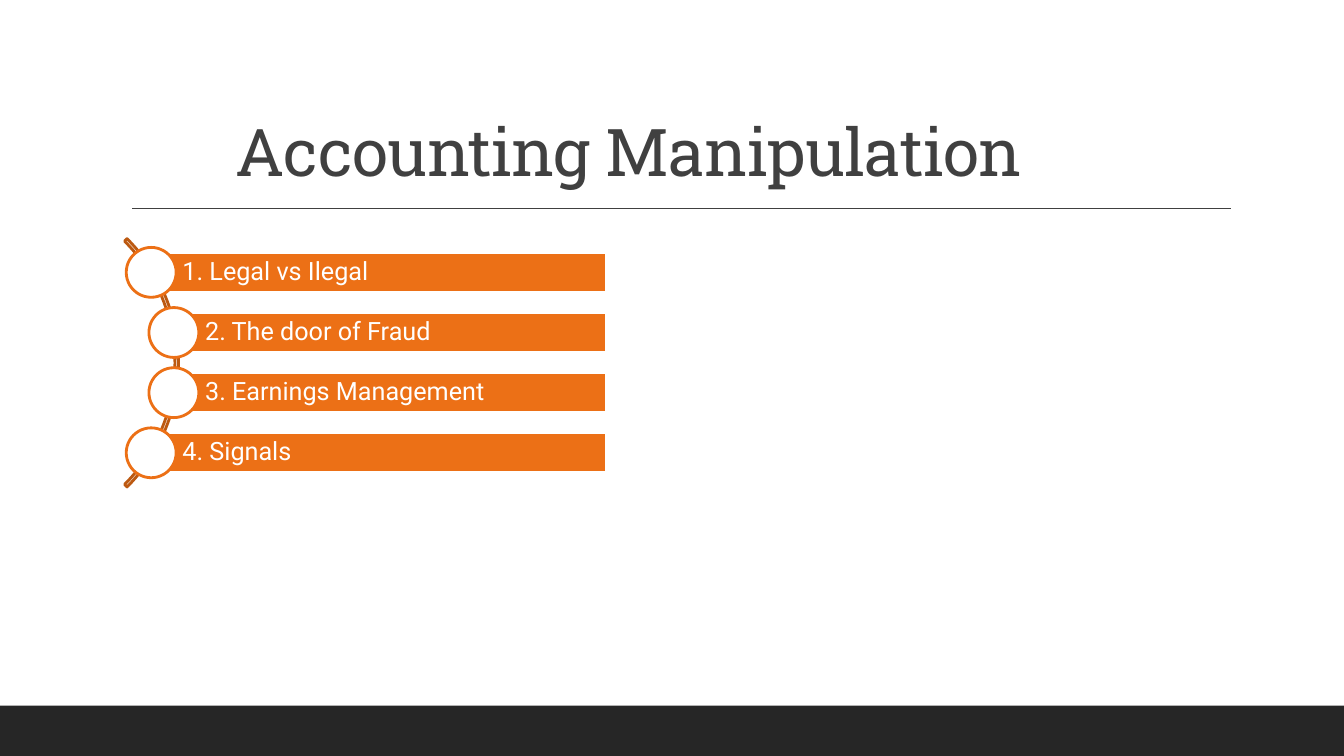
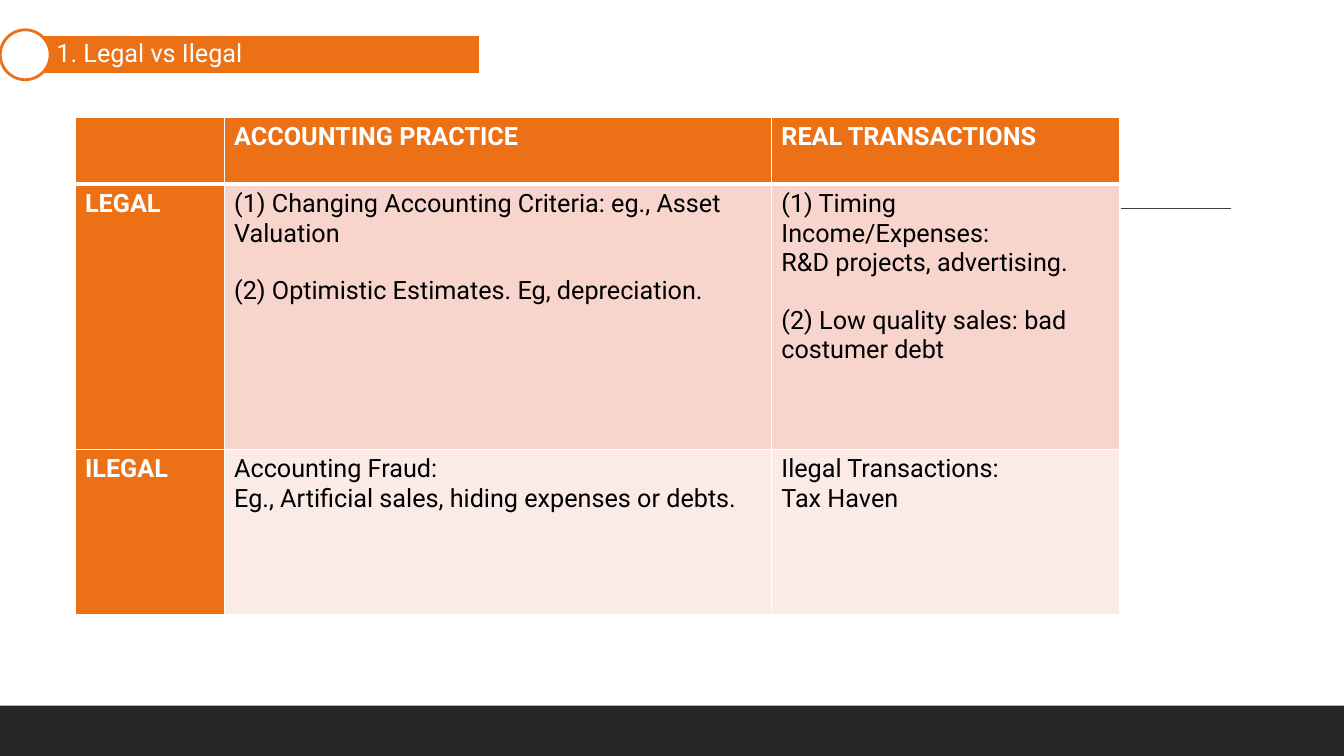
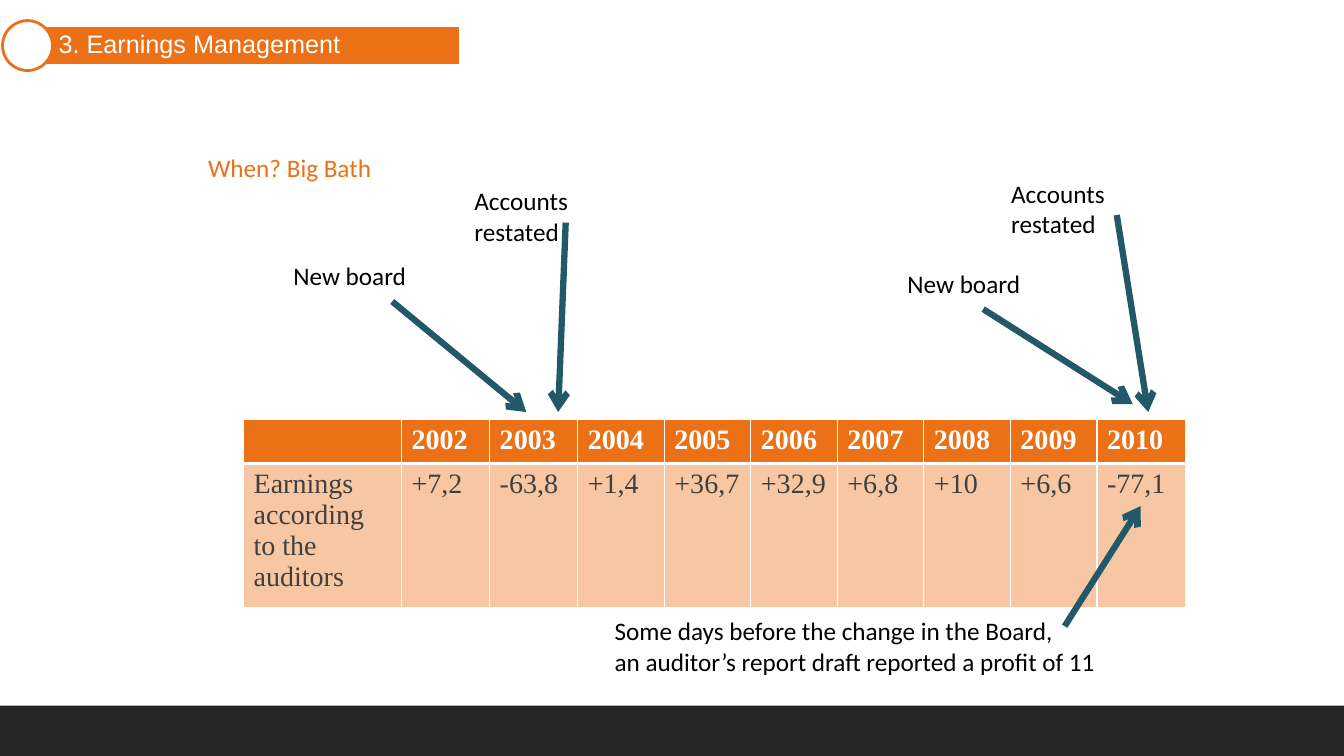
"""Builds a three-slide deck about accounting manipulation."""
from lxml.etree import SubElement
from pptx import Presentation
from pptx.dml.color import RGBColor
from pptx.enum.shapes import MSO_CONNECTOR, MSO_SHAPE
from pptx.enum.text import MSO_ANCHOR, PP_ALIGN
from pptx.oxml.ns import qn
from pptx.util import Emu, Inches, Pt

COLUMNS, ROWS = 160, 90
UNIT = Inches(1) // 12
COLORS = {
    "white": "FFFFFF", "black": "000000", "orange": "EC7016", "brown": "BC5911",
    "gray": "404040", "band": "262626", "teal": "215968",
    "rose": "F7D4CC", "blush": "FBEBE7", "peach": "F7C6A2",
}
TIGHT = {"line_spacing": 0.9}
BAR_PARAGRAPH = {"line_spacing": 0.9, "space_after": Pt(6.3)}
STYLES = {
    "title": {"font": {"name": "Roboto Slab", "size": Pt(47)}, "color": "gray", "paragraph": TIGHT},
    "bar": {"font": {"name": "Roboto", "size": Pt(18)}, "color": "white", "paragraph": BAR_PARAGRAPH},
    "bar plain": {"font": {"name": "Arial", "size": Pt(18)}, "color": "white", "paragraph": BAR_PARAGRAPH},
    "head": {"font": {"name": "Roboto", "size": Pt(18), "bold": True}, "color": "white"},
    "body": {"font": {"name": "Roboto", "size": Pt(18), "bold": False}, "color": "black"},
    "year": {"font": {"name": "Times New Roman", "size": Pt(20), "bold": True}, "color": "white"},
    "figure": {"font": {"name": "Times New Roman", "size": Pt(20), "bold": False}, "color": "gray"},
    "label": {"font": {"name": "Calibri", "size": Pt(18)}, "color": "black"},
    "lead": {"font": {"name": "Calibri", "size": Pt(18)}, "color": "orange"},
}
BAR_FRAME = {"margin_left": Inches(0.31), "margin_right": Inches(0.05),
             "vertical_anchor": MSO_ANCHOR.MIDDLE, "word_wrap": True}
TITLE_FRAME = {"margin_left": 0, "margin_right": 0, "margin_top": 0, "margin_bottom": 0,
               "vertical_anchor": MSO_ANCHOR.BOTTOM}
BAR_HEIGHT, BULLET_SIZE = 4.75, 5.94
GROUP_GAP = Pt(20)


def units(*lengths):
    """Turn grid units into slide lengths."""
    return [Emu(round(length * UNIT)) for length in lengths]


def rgb(name):
    """Look up a colour by its name."""
    return RGBColor.from_string(COLORS[name])


def assign(target, values):
    """Set each named attribute on the target."""
    for name, value in values.items():
        setattr(target, name, value)


class Deck:
    """Holds the presentation, its style and the current slide."""

    def __init__(self):
        """Open an empty deck on the grid."""
        self.deck = Presentation()
        self.deck.slide_width, self.deck.slide_height = units(COLUMNS, ROWS)
        self.page = None

    def start(self, ruled=True):
        """Add a page with its footer band and title rule."""
        self.page = self.deck.slides.add_slide(self.deck.slide_layouts[6])
        if ruled:
            self.line((15.75, 24.88), (146.5, 24.88), "gray", 0.75)
        self.shape(MSO_SHAPE.RECTANGLE, (0, 84, COLUMNS, 6), "band")

    def set_text(self, frame, text, style):
        """Set lines of text, with a gap before each later group."""
        look = STYLES[style]
        para = None
        for group in text.split("\n\n"):
            for position, words in enumerate(group.split("\n")):
                gap = para is not None and position == 0
                para = frame.paragraphs[0] if para is None else frame.add_paragraph()
                para.alignment = PP_ALIGN.LEFT
                assign(para, look.get("paragraph", {}))
                if gap:
                    para.space_before = GROUP_GAP
                span = para.add_run()
                span.text = words
                assign(span.font, look["font"])
                span.font.color.rgb = rgb(look["color"])

    def shape(self, kind, area, fill=None, outline=None, width=2):
        """Draw a preset shape."""
        box = self.page.shapes.add_shape(kind, *units(*area))
        box.shadow.inherit = False
        for part, color in ((box.fill, fill), (box.line.fill, outline)):
            if color:
                part.solid()
                part.fore_color.rgb = rgb(color)
            else:
                part.background()
        if outline:
            box.line.width = Pt(width)
        return box

    def line(self, start, end, color, width, arrow=False):
        """Draw a straight line, with an arrowhead at its end if asked."""
        link = self.page.shapes.add_connector(MSO_CONNECTOR.STRAIGHT, *units(*start, *end))
        link.line.color.rgb = rgb(color)
        link.line.width = Pt(width)
        properties = link._element.spPr
        if arrow:
            SubElement(properties.find(qn("a:ln")), qn("a:tailEnd"), type="arrow")
        SubElement(properties, qn("a:effectLst"))

    def text(self, area, text, style, wrap=True, frame=None):
        """Place a text box."""
        box = self.page.shapes.add_textbox(*units(*area))
        box.text_frame.word_wrap = wrap
        assign(box.text_frame, frame or {})
        self.set_text(box.text_frame, text, style)
        return box

    def title(self, text):
        """Place the slightly condensed page title."""
        box = self.text((28, 3.7, 132, 19), text, "title", frame=TITLE_FRAME)
        for span in box.text_frame.paragraphs[0].runs:
            span._r.get_or_add_rPr().set("spc", "-50")

    def topic(self, left, top, width, text, style="bar"):
        """Draw a topic bar with a round bullet on its left edge."""
        bar = self.shape(MSO_SHAPE.RECTANGLE, (left, top, width, BAR_HEIGHT), "orange", "white")
        assign(bar.text_frame, BAR_FRAME)
        self.set_text(bar.text_frame, text, style)
        bullet = (left - BULLET_SIZE / 2, top + (BAR_HEIGHT - BULLET_SIZE) / 2, BULLET_SIZE, BULLET_SIZE)
        self.shape(MSO_SHAPE.OVAL, bullet, "white", "orange")

    def border(self, cell, row):
        """Give a cell white borders, thick below the header row."""
        thick = {0: "a:lnB", 1: "a:lnT"}.get(row)
        properties = cell._tc.get_or_add_tcPr()
        for side in ("a:lnL", "a:lnR", "a:lnT", "a:lnB"):
            width = Pt(3 if side == thick else 0.96)
            edge = SubElement(properties, qn(side), w=str(width))
            SubElement(SubElement(edge, qn("a:solidFill")), qn("a:srgbClr"), val=COLORS["white"])

    def table(self, corner, widths, heights, rows, look):
        """Build a table; look gives the fill and style of a cell."""
        area = units(*corner, sum(widths), sum(heights))
        table = self.page.shapes.add_table(len(rows), len(widths), *area).table
        table.horz_banding = False
        for column, width in zip(table.columns, units(*widths)):
            column.width = width
        for line, height in zip(table.rows, units(*heights)):
            line.height = height
        for row, texts in enumerate(rows):
            for column, text in enumerate(texts):
                cell = table.cell(row, column)
                fill, style = look(row, column)
                self.border(cell, row)
                cell.fill.solid()
                cell.fill.fore_color.rgb = rgb(fill)
                self.set_text(cell.text_frame, text, style)


def agenda(deck):
    """Build the opening page with its curved list of topics."""
    deck.start()
    deck.title("Accounting Manipulation")
    arc = deck.shape(MSO_SHAPE.BLOCK_ARC, (-20.55, 22.3, 41.8, 41.8), outline="brown")
    for index, value in enumerate((189, 27, 0.01)):
        arc.adjustments[index] = value
    topics = ("1. Legal vs Ilegal", "2. The door of Fraud", "3. Earnings Management", "4. Signals")
    for index, (left, text) in enumerate(zip((18, 20.7, 20.7, 18), topics)):
        deck.topic(left, 30.05 + 7.16 * index, 72.24 - left, text)


def legality(deck):
    """Build the page that sets legal against illegal practice."""
    deck.start()
    deck.topic(3, 4.15, 54.24, "1. Legal vs Ilegal")
    rows = (
        ("", "ACCOUNTING PRACTICE", "REAL TRANSACTIONS"),
        ("LEGAL",
         "(1) Changing Accounting Criteria: eg., Asset Valuation\n\n"
         "(2) Optimistic Estimates. Eg, depreciation.",
         "(1) Timing Income/Expenses:\nR&D projects, advertising.\n\n"
         "(2) Low quality sales: bad costumer debt"),
        ("ILEGAL",
         "Accounting Fraud:\nEg., Artificial sales, hiding expenses or debts.",
         "Ilegal Transactions:\nTax Haven"),
    )

    def look(row, column):
        """Mark the first row and column as headers."""
        if row == 0 or column == 0:
            return "orange", "head"
        return ("rose", "blush")[row - 1], "body"

    deck.table((8.93, 14), (17.75, 65.15, 41.5), (7.95, 31.55, 19.65), rows, look)


def earnings(deck):
    """Build the page on big bath earnings, with arrows to the years."""
    deck.start(ruled=False)
    deck.topic(3.27, 3.05, 51.6, "3. Earnings Management", "bar plain")
    deck.text((23.6, 17.5, 127.2, 4.85), "When? Big Bath", "lead")
    rows = (
        ("", *map(str, range(2002, 2011))),
        ("Earnings according to the auditors",
         "+7,2", "-63,8", "+1,4", "+36,7", "+32,9", "+6,8", "+10", "+6,6", "-77,1"),
    )
    widths = (18.8, 10.5, 10.5, *[10.3] * 6, 10.6)
    deck.table((29, 49.97), widths, (5.2, 17.2), rows,
               lambda row, column: (("orange", "year"), ("peach", "figure"))[row])
    labels = (
        (33.75, 30.4, 15.9, "New board"), (55.3, 21.5, 24.2, "Accounts restated"),
        (106.85, 31.4, 15.9, "New board"), (119.2, 20.6, 24.2, "Accounts restated"),
    )
    for left, top, width, text in labels:
        deck.text((left, top, width, 4.85), text, "label", wrap=False)
    deck.text((72, 72.7, 62.9, 8.4),
              "Some days before the change in the Board,\n"
              "an auditor’s report draft reported a profit of 11", "label")
    arrows = (
        ((46.7, 35.9), (62.65, 49.05)), ((67.35, 26.5), (66.45, 49.05)),
        ((117.05, 36.8), (134.85, 48.1)), ((132.95, 25.6), (136.7, 49.05)),
        ((126.75, 74.55), (135.8, 60.25)),
    )
    for start, end in arrows:
        deck.line(start, end, "teal", 4.5, arrow=True)


def main():
    """Build the pages and save the deck."""
    deck = Deck()
    for build in (agenda, legality, earnings):
        build(deck)
    deck.deck.save("out.pptx")


if __name__ == "__main__":
    main()
